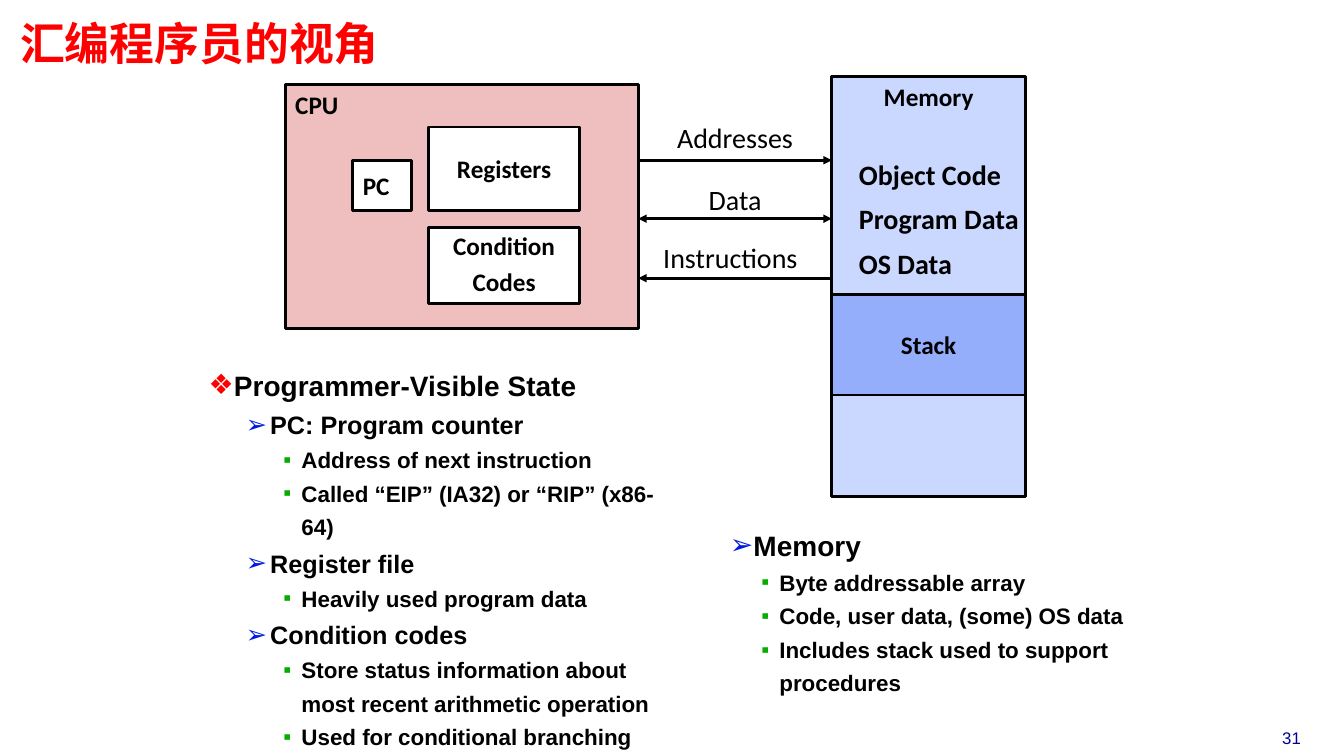
import pptx
import pptx.dml.color
import pptx.enum.shapes
import pptx.enum.text
import pptx.oxml
import pptx.oxml.ns
import pptx.util
from pptx.dml.color import RGBColor
from pptx.enum.text import MSO_ANCHOR, PP_ALIGN
from pptx.util import Inches

BLACK = RGBColor(0x00, 0x00, 0x00)
WHITE = RGBColor(0xFF, 0xFF, 0xFF)
RED = RGBColor(0xFF, 0x00, 0x00)
NAVY = RGBColor(0x00, 0x00, 0x99)
BULLET_BLUE = RGBColor(0x00, 0x1A, 0xDC)
BULLET_GREEN = RGBColor(0x05, 0xAD, 0x01)
CPU_PINK = RGBColor(0xEF, 0xBF, 0xBF)
MEMORY_BLUE = RGBColor(0xCA, 0xD7, 0xFE)
STACK_BLUE = RGBColor(0x95, 0xAE, 0xFC)

LEFT, CENTER = PP_ALIGN.LEFT, PP_ALIGN.CENTER
TOP, MIDDLE = MSO_ANCHOR.TOP, MSO_ANCHOR.MIDDLE


def write_lines(shape, lines, size, align, bold=True, font="Calibri", color=BLACK, spacing=1.0):
    """Fill a shape with one paragraph per line, spaced by 40% of the text size."""
    shape.text_frame.text = "\n".join(lines)
    for number, paragraph in enumerate(shape.text_frame.paragraphs):
        paragraph.alignment = align
        paragraph.line_spacing = spacing
        paragraph.space_before = pptx.util.Pt(0.4 * size if number else 0)
        for run in paragraph.runs:
            run.font.name = font
            run.font.size = pptx.util.Pt(size)
            run.font.bold = bold
            run.font.color.rgb = color


def place(shape, left, top, width, height):
    """Move a placeholder and give it narrow margins."""
    shape.left, shape.top = Inches(left), Inches(top)
    shape.width, shape.height = Inches(width), Inches(height)
    frame = shape.text_frame
    frame.margin_left = frame.margin_right = Inches(0.07)
    frame.margin_top = frame.margin_bottom = Inches(0.03)
    frame.word_wrap = True
    frame.auto_size = pptx.enum.text.MSO_AUTO_SIZE.NONE


presentation = pptx.Presentation()
presentation.slide_width = Inches(13.33)
presentation.slide_height = Inches(7.5)
slide = presentation.slides.add_slide(presentation.slide_layouts.get_by_name("Two Content"))
title, state_list, memory_list = slide.placeholders

# Title
place(title, 0.13, 0.2, 7.9, 0.52)
title.text_frame.vertical_anchor = MIDDLE
write_lines(title, ["汇编程序员的视角"], 32, LEFT, font="Noto Sans CJK SC", color=RED, spacing=0.87)
east_asian = pptx.oxml.parse_xml(
    f'<a:ea {pptx.oxml.ns.nsdecls("a")} typeface="Noto Sans CJK SC"/>')
title.text_frame.paragraphs[0].runs[0]._r.rPr.append(east_asian)

# Bulleted lists: level and text; each level has text indent, hanging indent and size
BULLETS = [("❖", RED), ("➢", BULLET_BLUE), ("▪", BULLET_GREEN)]
lists = [
    (state_list, (2, 3.54, 4.77, 3.97),
     {0: (0.25, 0.25, 20), 1: (0.61, 0.24, 18), 2: (0.92, 0.18, 16)},
     [(0, "Programmer-Visible State"),
      (1, "PC: Program counter"),
      (2, "Address of next instruction"),
      (2, "Called “EIP” (IA32) or “RIP” (x86-64)"),
      (1, "Register file"),
      (2, "Heavily used program data"),
      (1, "Condition codes"),
      (2, "Store status information about most recent arithmetic operation"),
      (2, "Used for conditional branching")]),
    (memory_list, (7.04, 5.13, 4.46, 2.24),
     {1: (0.32, 0.19, 20), 2: (0.62, 0.18, 16)},
     [(1, "Memory"),
      (2, "Byte addressable array"),
      (2, "Code, user data, (some) OS data"),
      (2, "Includes stack used to support procedures")]),
]
for placeholder, box, levels, items in lists:
    place(placeholder, *box)
    placeholder.text_frame.vertical_anchor = TOP
    placeholder.text_frame.text = "\n".join(text for level, text in items)
    for paragraph, (level, text) in zip(placeholder.text_frame.paragraphs, items):
        indent, hanging, size = levels[level]
        character, bullet_color = BULLETS[level]
        paragraph.level = level
        properties = paragraph._p.get_or_add_pPr()
        properties.set("marL", str(Inches(indent)))
        properties.set("indent", str(-Inches(hanging)))
        for tag, content in (
                ("buClr", f'><a:srgbClr val="{bullet_color}"/></a:buClr>'),
                ("buFont", ' typeface="Arial"/>'),
                ("buChar", f' char="{character}"/>')):
            properties.append(pptx.oxml.parse_xml(
                f'<a:{tag} {pptx.oxml.ns.nsdecls("a")}{content}'))
        paragraph.line_spacing = 1.25
        paragraph.space_before = pptx.util.Pt(0)
        for run in paragraph.runs:
            run.font.name = "Arial"
            run.font.size = pptx.util.Pt(size)
            run.font.bold = True
            run.font.color.rgb = BLACK

# Blocks of the machine, from back to front
blocks = [
    (["CPU"], 2.83, 0.84, 3.5, 2.42, CPU_PINK, 2.25, LEFT, TOP, 1.0),
    (["PC"], 3.5, 1.59, 0.58, 0.5, WHITE, 2, LEFT, MIDDLE, 1.0),
    (["Registers"], 4.25, 1.26, 1.5, 0.83, WHITE, 2, CENTER, MIDDLE, 1.0),
    (["Condition", "Codes"], 4.25, 2.26, 1.5, 0.75, WHITE, 2, CENTER, MIDDLE, 0.85),
    (["Memory"], 8.25, 0.76, 1.92, 4.17, MEMORY_BLUE, 2, CENTER, TOP, 1.0),
    (["Stack"], 8.25, 2.92, 1.92, 1, STACK_BLUE, 2, CENTER, MIDDLE, 1.0),
]
for lines, left, top, width, height, fill, line_width, align, anchor, spacing in blocks:
    block = slide.shapes.add_shape(
        pptx.enum.shapes.MSO_SHAPE.RECTANGLE,
        Inches(left), Inches(top), Inches(width), Inches(height))
    block.shadow.inherit = False
    block.fill.solid()
    block.fill.fore_color.rgb = fill
    block.line.color.rgb = BLACK
    block.line.width = pptx.util.Pt(line_width)
    block.text_frame.word_wrap = lines == ["CPU"]
    block.text_frame.vertical_anchor = anchor
    write_lines(block, lines, 18, align, spacing=spacing)

# Buses between CPU and memory
buses = [(1.59, ["tailEnd"]), (2.17, ["headEnd", "tailEnd"]), (2.76, ["headEnd"])]
for y, arrow_ends in buses:
    bus = slide.shapes.add_connector(
        pptx.enum.shapes.MSO_CONNECTOR.STRAIGHT,
        Inches(6.33), Inches(y), Inches(8.25), Inches(y))
    bus.line.color.rgb = BLACK
    bus.line.width = pptx.util.Pt(2)
    for arrow_end in arrow_ends:
        bus.line._get_or_add_ln().append(pptx.oxml.parse_xml(
            f'<a:{arrow_end} {pptx.oxml.ns.nsdecls("a")} type="triangle"/>'))
    bus._element.spPr.append(pptx.oxml.parse_xml(
        f'<a:effectLst {pptx.oxml.ns.nsdecls("a")}/>'))

# Labels and slide number
labels = [
    (["Object Code", "Program Data", "OS Data"], 8.42, 1.51, 1.92, 1.38, 20, LEFT, True, "Calibri", BLACK),
    (["Addresses"], 6.33, 1.15, 1.92, 0.43, 20, CENTER, False, "Calibri", BLACK),
    (["Data"], 6.33, 1.76, 1.92, 0.43, 20, CENTER, False, "Calibri", BLACK),
    (["Instructions"], 6.33, 2.34, 1.83, 0.43, 20, CENTER, False, "Calibri", BLACK),
    (["31"], 12.34, 7.17, 0.94, 0.3, 12, CENTER, False, "Arial", NAVY),
]
for lines, left, top, width, height, size, align, bold, font, color in labels:
    label = slide.shapes.add_textbox(Inches(left), Inches(top), Inches(width), Inches(height))
    label.text_frame.word_wrap = True
    write_lines(label, lines, size, align, bold, font, color)

presentation.save("out.pptx")
